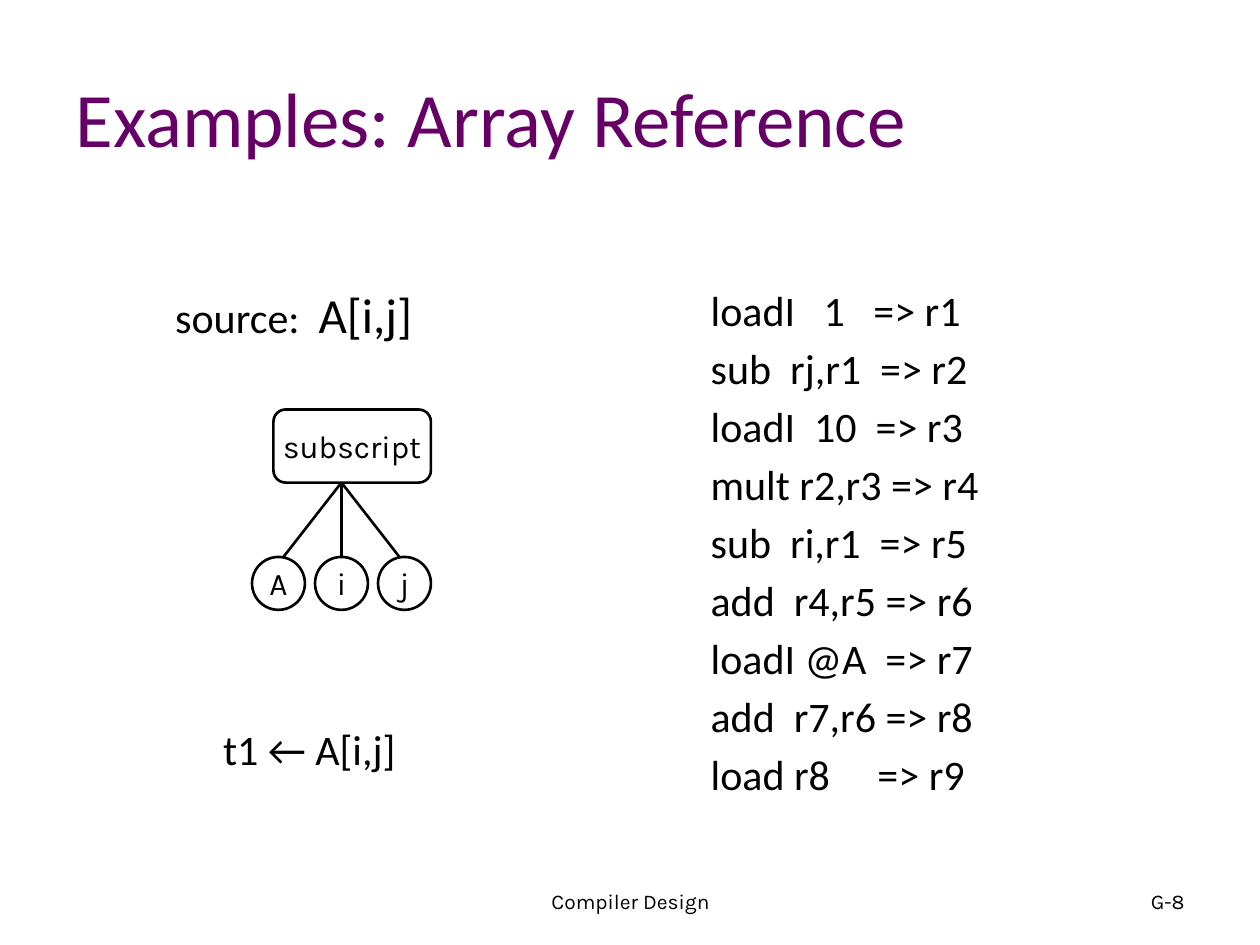
from lxml.etree import SubElement
from pptx import Presentation
from pptx.dml.color import RGBColor
from pptx.enum.shapes import MSO_CONNECTOR as Connector, MSO_SHAPE as Shape
from pptx.enum.text import MSO_ANCHOR as Anchor, MSO_AUTO_SIZE as AutoSize, PP_ALIGN as Align
from pptx.oxml.ns import qn
from pptx.util import Inches, Pt

COLORS = {"title": "660066", "ink": "000000"}
HEADING_FONT, LABEL_FONT = "Calibri", "Karla"
HANGING = 0.38
CODE_LINES = [
    "loadI   1   => r1",
    "sub  rj,r1  => r2",
    "loadI  10  => r3",
    "mult r2,r3 => r4",
    "sub  ri,r1  => r5",
    "add  r4,r5 => r6",
    "loadI @A  => r7",
    "add  r7,r6 => r8",
    "load r8     => r9",
]


class SlideBuilder:
    """Holds the style and the current slide."""

    def __init__(self, slide):
        self.slide = slide
        self.shapes = slide.shapes

    def set_font(self, font, name, size, color="ink"):
        """Give a font its face, size and colour."""
        font.name = name
        font.size = Pt(size)
        font.color.rgb = RGBColor.from_string(COLORS[color])

    def place(self, holder, left, top, width, height):
        """Move a placeholder and return its text frame."""
        holder.left, holder.top = Inches(left), Inches(top)
        holder.width, holder.height = Inches(width), Inches(height)
        frame = holder.text_frame
        frame.auto_size = AutoSize.NONE
        return frame

    def title(self, text, *box):
        """Fill the title placeholder."""
        frame = self.place(self.shapes.title, *box)
        frame.vertical_anchor = Anchor.MIDDLE
        frame.text = text
        heading = frame.paragraphs[0]
        heading.alignment = Align.LEFT
        self.set_font(heading.font, HEADING_FONT, 44, "title")

    def body(self, index, lines, *box):
        """Fill a body placeholder with unbulleted lines."""
        frame = self.place(self.slide.placeholders[index], *box)
        frame.text = "\n".join(lines)
        for line in frame.paragraphs:
            line.space_before = Pt(4.3)
            self.set_font(line.font, HEADING_FONT, 24)
            properties = line._p.get_or_add_pPr()
            properties.set("marL", str(Inches(HANGING)))
            properties.set("indent", str(-Inches(HANGING)))
            SubElement(properties, qn("a:buNone"))
            # Bullet settings precede the default run properties in the schema.
            properties.append(properties.find(qn("a:defRPr")))
        return frame.paragraphs

    def label(self, frame, text, size, align):
        """Write one vertically centred label line."""
        frame.vertical_anchor = Anchor.MIDDLE
        frame.text = text
        line = frame.paragraphs[0]
        line.alignment = align
        self.set_font(line.font, LABEL_FONT, size)

    def footer(self, text, align, *box):
        """Add a small text box at the foot of the slide."""
        frame = self.shapes.add_textbox(*map(Inches, box)).text_frame
        frame.word_wrap = True
        self.label(frame, text, 12, align)

    def outline(self, line):
        """Apply the diagram's line style."""
        line.color.rgb = RGBColor.from_string(COLORS["ink"])
        line.width = Pt(1.5)

    def node(self, kind, text, *box):
        """Add an outlined tree node."""
        node = self.shapes.add_shape(kind, *map(Inches, box))
        node.shadow.inherit = False
        node.fill.background()
        self.outline(node.line)
        node.text_frame.word_wrap = False
        self.label(node.text_frame, text, 18, Align.CENTER)

    def edge(self, *ends):
        """Add a straight tree edge."""
        edge = self.shapes.add_connector(Connector.STRAIGHT, *map(Inches, ends))
        self.outline(edge.line)
        SubElement(edge._element.spPr, qn("a:effectLst"))


def main():
    """Build and save the slide."""
    deck = Presentation()
    deck.slide_width, deck.slide_height = Inches(10), Inches(7.5)
    page = SlideBuilder(deck.slides.add_slide(deck.slide_layouts[3]))

    page.title("Examples: Array Reference", 0.5, 0.3, 9, 1.25)
    source, assignment = page.body(
        1, ["source:  ", "t1 ← A[i,j]"], 1.29, 2.21, 3.87, 4.5)
    reference = source.add_run()
    reference.text = "A[i,j]"
    reference.font.size = Pt(28)
    assignment.space_before = Pt(217)
    assignment._p.pPr.set("indent", "0")
    page.body(2, CODE_LINES, 5.54, 2.21, 3.54, 4.5)

    page.footer("Compiler Design", Align.CENTER, 3.42, 6.95, 3.17, 0.4)
    page.footer("G-8", Align.RIGHT, 7.17, 6.95, 2.33, 0.4)

    root_bottom, leaf_top, leaf_size = 3.83, 4.42, 0.42
    page.node(Shape.ROUNDED_RECTANGLE, "subscript", 2.17, 3.25, 1.25, 0.58)
    for position, (operand, edge_end) in enumerate(
            [("A", 2.25), ("i", 2.71), ("j", 3.17)]):
        page.node(Shape.OVAL, operand, 2 + 0.5 * position, leaf_top, leaf_size, leaf_size)
        page.edge(2.71, root_bottom, edge_end, leaf_top)

    deck.save("out.pptx")


main()
